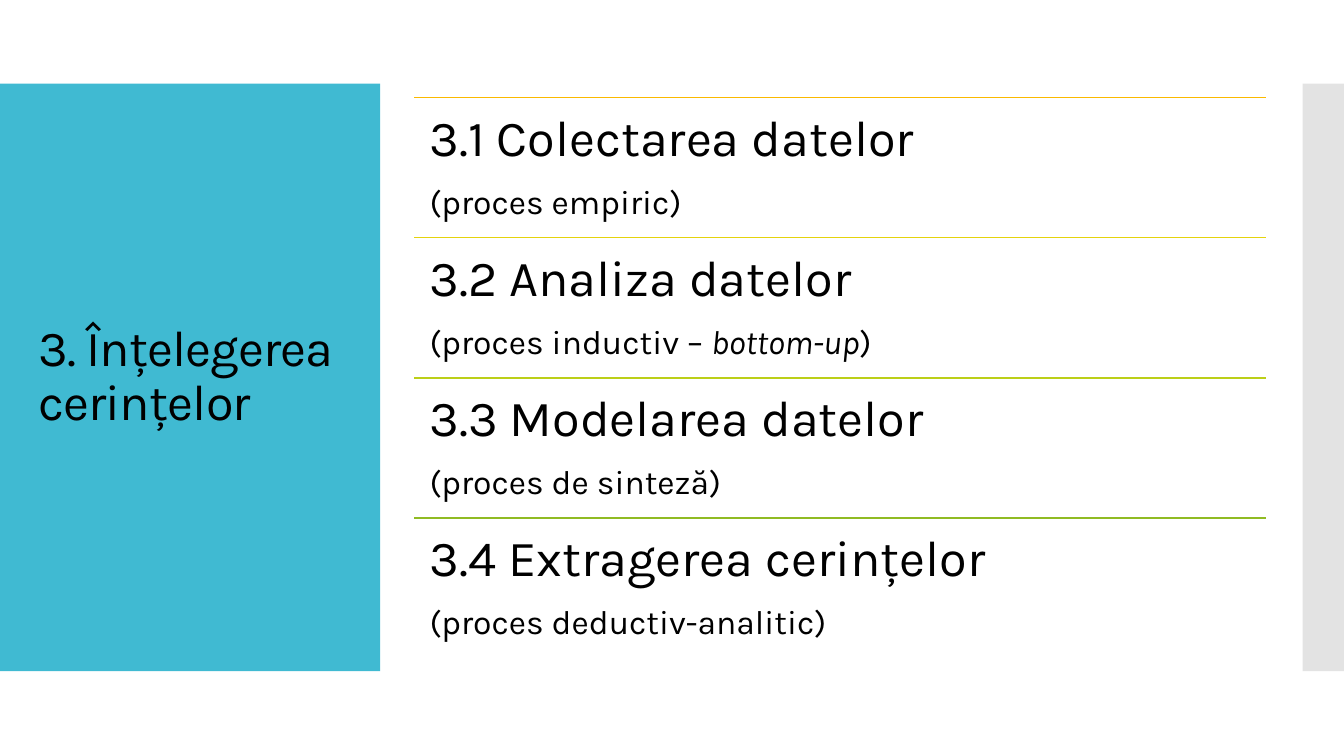
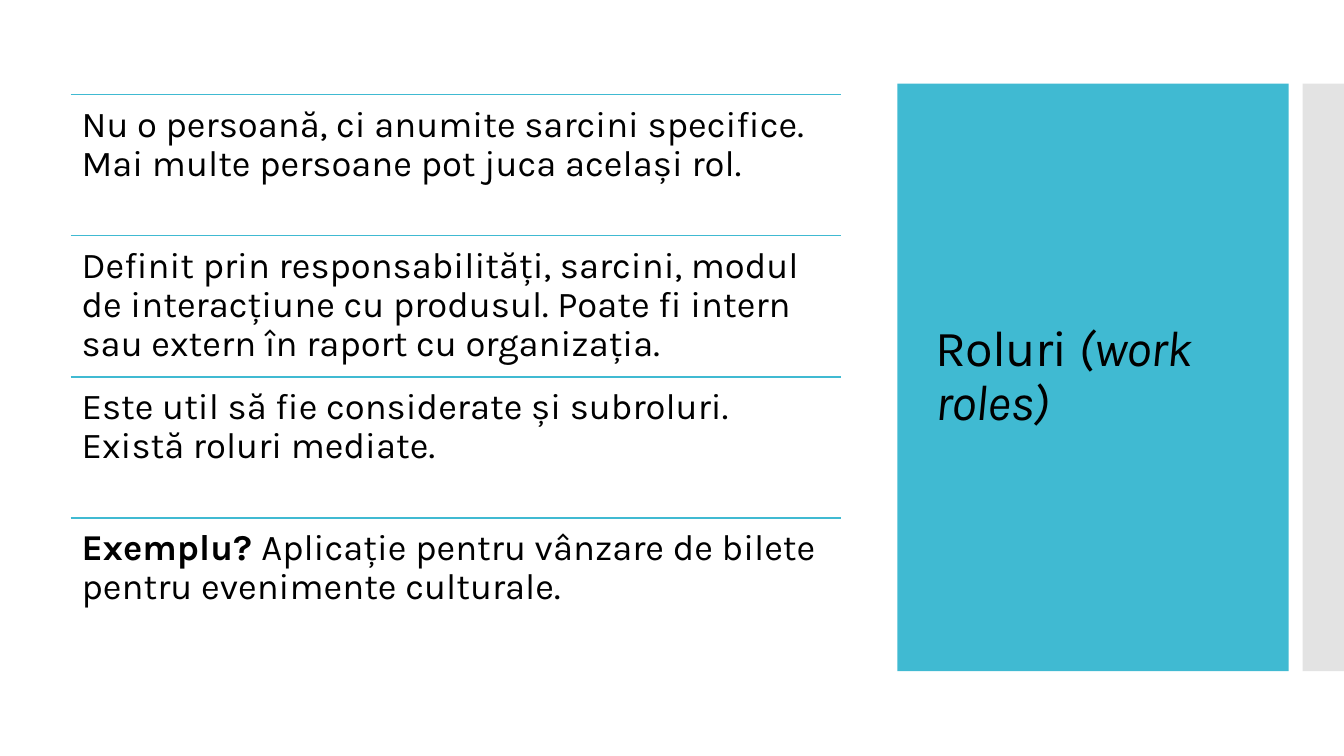
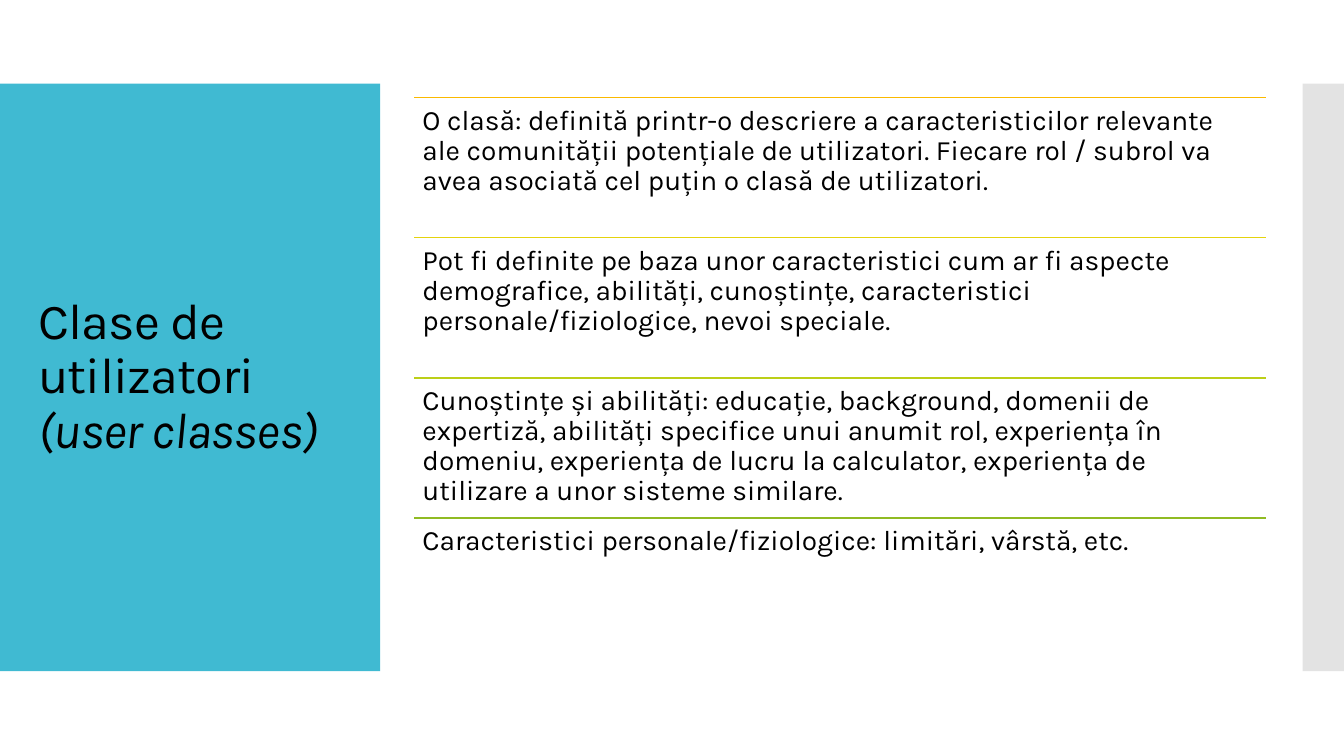
from dataclasses import dataclass
from lxml.etree import SubElement
from pptx import Presentation
from pptx.dml.color import RGBColor
from pptx.enum.shapes import MSO_CONNECTOR as CONN, MSO_SHAPE as SHAPE
from pptx.enum.text import MSO_ANCHOR as ANCHOR, PP_ALIGN as ALIGN
from pptx.oxml.ns import qn
from pptx.util import Inches, Pt


@dataclass(frozen=True)
class Theme:
    font: str = "Karla"
    text: str = "000000"
    panel: str = "40BAD2"
    edge: str = "C8C8C8"
    edge_alpha: int = 50
    rainbow: tuple = ("FAB900", "E4D30D", "BCCF18", "90BB23")
    title: int = 36
    heading: int = 36
    detail: int = 24
    roles: int = 26
    classes: int = 20
    tracking: float = -0.6
    line_spacing: float = 0.9
    space_after: float = 0.35
    rule: float = 0.85


T = Theme()
BAND_TOP, BAND_H = 0.83, 5.83
LEFT_PANEL, RIGHT_PANEL = (0, 3.77), (8.9, 3.88)
WIDE_LIST = dict(left=4.11, top=0.97, width=8.45, pitch=1.39)
NARROW_LIST = dict(left=0.7, top=0.94, width=7.64, pitch=1.4)

SLIDES = [
    dict(
        title=[("3. Înțelegerea cerințelor", "")],
        panel=LEFT_PANEL, area=WIDE_LIST, inset=0.15, rules=T.rainbow,
        sizes=(T.heading, T.detail),
        rows=[
            [[("3.1 Colectarea datelor", "")], [("(proces empiric)", "")]],
            [[("3.2 Analiza datelor", "")],
             [("(proces inductiv – ", ""), ("bottom-up", "i"), (")", "")]],
            [[("3.3 Modelarea datelor", "")], [("(proces de sinteză)", "")]],
            [[("3.4 Extragerea cerințelor", "")], [("(proces deductiv-analitic)", "")]],
        ],
    ),
    dict(
        title=[("Roluri ", ""), ("(work roles)", "i")],
        panel=RIGHT_PANEL, area=NARROW_LIST, inset=0.11, rules=(T.panel,) * 4,
        sizes=(T.roles,),
        rows=[
            [[("Nu o persoană, ci anumite sarcini specifice. "
               "Mai multe persoane pot juca același rol.", "")]],
            [[("Definit prin responsabilități, sarcini, modul de interacțiune cu produsul. "
               "Poate fi intern sau extern în raport cu organizația.", "")]],
            [[("Este util să fie considerate și subroluri. Există roluri mediate.", "")]],
            [[("Exemplu? ", "b"),
              ("Aplicație pentru vânzare de bilete pentru evenimente culturale.", "")]],
        ],
    ),
    dict(
        title=[("Clase de utilizatori ", ""), ("(user classes)", "i")],
        panel=LEFT_PANEL, area=WIDE_LIST, inset=0.08, rules=T.rainbow,
        sizes=(T.classes,),
        rows=[
            [[("O clasă: definită printr-o descriere a caracteristicilor relevante ale "
               "comunității potențiale de utilizatori. Fiecare rol / subrol va avea "
               "asociată cel puțin o clasă de utilizatori.", "")]],
            [[("Pot fi definite pe baza unor caracteristici cum ar fi aspecte demografice, "
               "abilități, cunoștințe, caracteristici personale/fiziologice, "
               "nevoi speciale.", "")]],
            [[("Cunoștințe și abilități: educație, background, domenii de expertiză, "
               "abilități specifice unui anumit rol, experiența în domeniu, experiența "
               "de lucru la calculator, experiența de utilizare a unor sisteme "
               "similare.", "")]],
            [[("Caracteristici personale/fiziologice: limitări, vârstă, etc.", "")]],
        ],
    ),
]


def add_band(s, left, width, color, alpha=None):
    sp = s.shapes.add_shape(SHAPE.RECTANGLE, Inches(left), Inches(BAND_TOP),
                            Inches(width), Inches(BAND_H))
    sp.shadow.inherit = False
    sp.line.fill.background()
    sp.fill.solid()
    sp.fill.fore_color.rgb = RGBColor.from_string(color)
    if alpha is not None:
        clr = sp.fill._xPr.find(qn("a:solidFill"))[0]
        SubElement(clr, qn("a:alpha")).set("val", str(alpha * 1000))


def add_rule(s, left, top, width, color):
    ln = s.shapes.add_connector(CONN.STRAIGHT, Inches(left), Inches(top),
                                Inches(left + width), Inches(top))
    ln.line.color.rgb = RGBColor.from_string(color)
    ln.line.width = Pt(T.rule)
    SubElement(ln._element.spPr, qn("a:effectLst"))


def add_text(s, box, paragraphs, sizes, insets, anchor=ANCHOR.TOP,
             space_after=T.space_after, tracking=None):
    tf = s.shapes.add_textbox(*map(Inches, box)).text_frame
    tf.word_wrap = True
    tf.vertical_anchor = anchor
    tf.margin_left = tf.margin_right = Inches(insets[0])
    tf.margin_top = tf.margin_bottom = Inches(insets[1])
    for i, (runs, size) in enumerate(zip(paragraphs, sizes)):
        p = tf.paragraphs[0] if i == 0 else tf.add_paragraph()
        p.alignment = ALIGN.LEFT
        p.line_spacing = T.line_spacing
        p.space_after = Pt(round(size * space_after, 1))
        for text, style in runs:
            r = p.add_run()
            r.text = text
            r.font.name = T.font
            r.font.size = Pt(size)
            r.font.bold = "b" in style
            r.font.italic = "i" in style
            r.font.color.rgb = RGBColor.from_string(T.text)
            if tracking is not None:
                r._r.get_or_add_rPr().set("spc", str(round(tracking * 100)))


def add_frame(s, title, panel):
    left, width = panel
    add_band(s, left, width, T.panel)
    add_band(s, 12.92, 0.42, T.edge, T.edge_alpha)
    add_text(s, (left + 0.28, 1.23, 3.22, 5.03), [title], [T.title], (0.1, 0.05),
             ANCHOR.MIDDLE, 0, T.tracking)


def add_rows(s, rows, rules, area, sizes, inset):
    left, width, pitch = area["left"], area["width"], area["pitch"]
    for i, (paragraphs, color) in enumerate(zip(rows, rules)):
        top = area["top"] + i * pitch
        add_rule(s, left, top, width, color)
        add_text(s, (left, top, width, pitch), paragraphs, sizes, (inset, inset))


def main():
    prs = Presentation()
    prs.slide_width, prs.slide_height = Inches(13.33), Inches(7.5)
    for d in SLIDES:
        s = prs.slides.add_slide(prs.slide_layouts[6])
        add_frame(s, d["title"], d["panel"])
        add_rows(s, d["rows"], d["rules"], d["area"], d["sizes"], d["inset"])
    prs.save("out.pptx")


if __name__ == "__main__":
    main()
